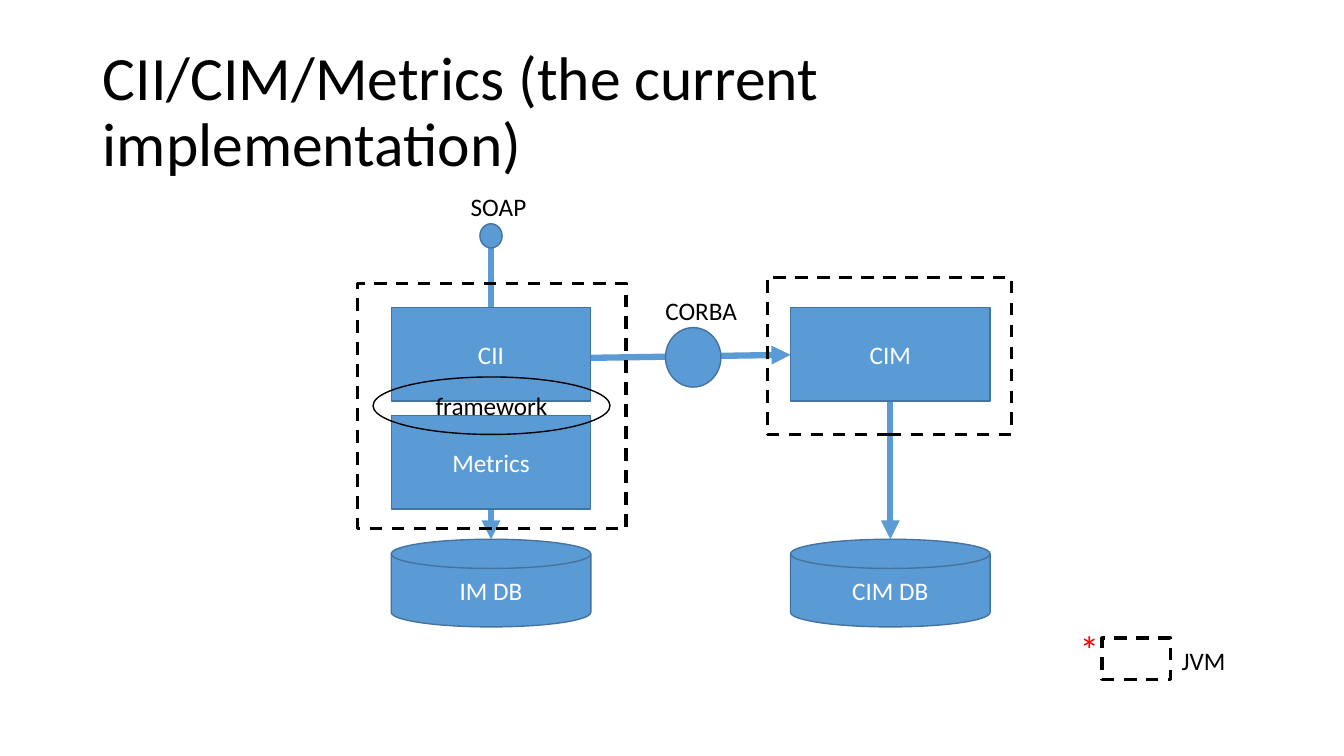
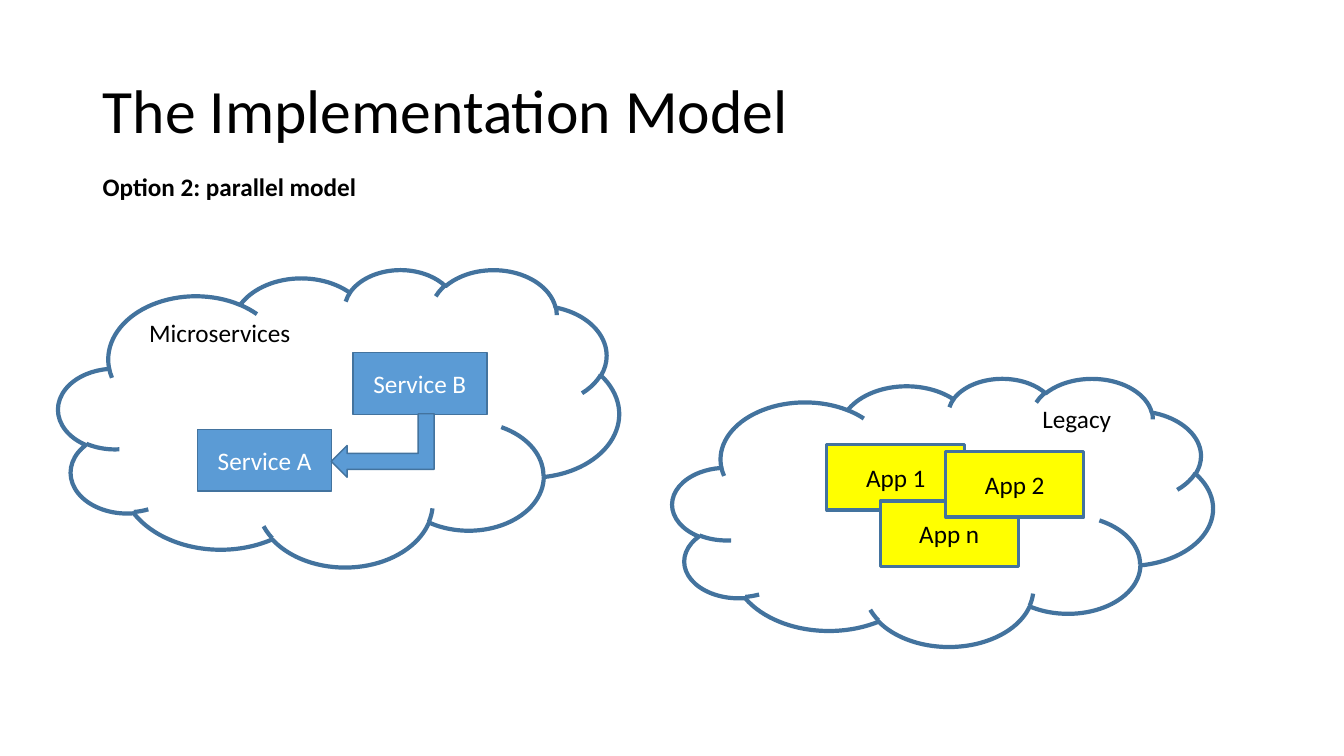
from lxml.etree import SubElement
from pptx import Presentation
from pptx.dml.color import RGBColor
from pptx.enum.dml import MSO_LINE
from pptx.enum.shapes import MSO_CONNECTOR, MSO_SHAPE as SHAPE
from pptx.enum.text import MSO_ANCHOR, MSO_AUTO_SIZE, PP_ALIGN
from pptx.oxml.ns import qn
from pptx.util import Pt

PX = 9144  # EMU, 100 px to the inch
FONT = "Calibri"
COLORS = {"blue": "5B9BD5", "edge": "43739E", "yellow": "FFFF00",
          "black": "000000", "white": "FFFFFF", "red": "FF0000"}

# style: fill, line colour, line width in points, dashed, text colour
STYLES = {
    "node": ("blue", "edge", 1, False, "white"),
    "app": ("yellow", "edge", 2.25, False, "black"),
    "oval": (None, "black", 1, False, "black"),
    "jvm": (None, "black", 2.25, True, "black"),
    "cloud": (None, "edge", 3, False, "black"),
}

# Columns and rows of the component diagram
LEFT, RIGHT, NODE_W, NODE_H = 388, 784, 198, 93
TOP, METRICS_TOP, DB_TOP, DB_H = 305, 412, 535, 87
LEFT_MID, RIGHT_MID = LEFT + NODE_W // 2, RIGHT + NODE_W // 2
# Boxes inside the clouds
SERVICE, APP = (133, 61), (137, 65)

SLIDES = [
    {
        "title": "CII/CIM/Metrics (the current implementation)",
        # from x, from y, to x, to y, arrowhead
        "lines": [
            (LEFT_MID, 245, LEFT_MID, TOP, False),
            (LEFT_MID, METRICS_TOP + NODE_H, LEFT_MID, DB_TOP, True),
            (LEFT + NODE_W, 355, RIGHT, 352, True),
            (RIGHT_MID, TOP + NODE_H, RIGHT_MID, DB_TOP, True),
        ],
        # preset, style, left, top, width, height, text
        "shapes": [
            (SHAPE.RECTANGLE, "node", LEFT, TOP, NODE_W, NODE_H, "CII"),
            (SHAPE.RECTANGLE, "node", LEFT, METRICS_TOP, NODE_W, NODE_H, "Metrics"),
            (SHAPE.RECTANGLE, "node", RIGHT, TOP, NODE_W, NODE_H, "CIM"),
            (SHAPE.FLOWCHART_MAGNETIC_DISK, "node", LEFT, DB_TOP, NODE_W, DB_H, "IM DB"),
            (SHAPE.FLOWCHART_MAGNETIC_DISK, "node", RIGHT, DB_TOP, NODE_W, DB_H, "CIM DB"),
            (SHAPE.OVAL, "node", LEFT_MID - 11, 222, 22, 24, ""),
            (SHAPE.OVAL, "node", 660, 325, 55, 59, ""),
            (SHAPE.OVAL, "oval", 370, 374, 235, 57, "framework"),
            (SHAPE.RECTANGLE, "jvm", 355, 281, 266, 243, ""),
            (SHAPE.RECTANGLE, "jvm", 761, 275, 242, 156, ""),
            (SHAPE.RECTANGLE, "jvm", 1093, 633, 68, 41, ""),
        ],
        # left, top, width, text, size, colour, bold
        "labels": [
            (457, 185, 101, "SOAP", 18, "black", False),
            (650, 288, 101, "CORBA", 18, "black", False),
            (1162, 635, 101, "JVM", 18, "black", False),
            (1061, 615, 101, "*", 28, "red", False),
        ],
    },
    {
        "title": "The Implementation Model",
        "lines": [],
        "shapes": [
            (SHAPE.CLOUD, "cloud", 667, 375, 536, 266, ""),
            (SHAPE.RECTANGLE, "app", 820, 441, *APP, "App 1"),
            (SHAPE.RECTANGLE, "app", 873, 497, *APP, "App n"),
            (SHAPE.RECTANGLE, "app", 938, 448, *APP, "App 2"),
            (SHAPE.CLOUD, "cloud", 58, 267, 556, 295, ""),
            (SHAPE.RECTANGLE, "node", 196, 426, *SERVICE, "Service A"),
            (SHAPE.RECTANGLE, "node", 350, 350, *SERVICE, "Service B"),
            (SHAPE.BENT_UP_ARROW, "node", 348, 391, 63, 102, ""),
        ],
        "labels": [
            (92, 165, 274, "Option 2: parallel model", 18, "black", True),
            (1024, 395, 89, "Legacy", 18, "black", False),
            (138, 310, 162, "Microservices", 18, "black", False),
        ],
    },
]


def px(*lengths):
    return [n * PX for n in lengths]


def rgb(name):
    return RGBColor.from_string(COLORS[name])


def set_text(tf, text, size, color, bold=False):
    tf.text = text
    for r in tf.paragraphs[0].runs:
        r.font.name, r.font.size, r.font.bold = FONT, Pt(size), bold
        r.font.color.rgb = rgb(color)


def add_title(slide, text):
    s = slide.shapes.title
    s.left, s.top, s.width, s.height = px(92, 40, 1150, 145)
    tf = s.text_frame
    set_text(tf, text, 44, "black")
    tf.auto_size = MSO_AUTO_SIZE.NONE
    tf.vertical_anchor = MSO_ANCHOR.MIDDLE
    p = tf.paragraphs[0]
    p.alignment, p.line_spacing = PP_ALIGN.LEFT, 0.9


def add_line(slide, x1, y1, x2, y2, arrow):
    s = slide.shapes.add_connector(MSO_CONNECTOR.STRAIGHT, *px(x1, y1, x2, y2))
    s.line.color.rgb, s.line.width = rgb("blue"), Pt(4.5)
    if arrow:
        SubElement(s.line._get_or_add_ln(), qn("a:tailEnd"), type="triangle")
    SubElement(s._element.spPr, qn("a:effectLst"))


def add_shape(slide, preset, style, left, top, width, height, text):
    fill, line, weight, dashed, color = STYLES[style]
    s = slide.shapes.add_shape(preset, *px(left, top, width, height))
    s.shadow.inherit = False
    if fill:
        s.fill.solid()
        s.fill.fore_color.rgb = rgb(fill)
    else:
        s.fill.background()
    s.line.color.rgb, s.line.width = rgb(line), Pt(weight)
    if dashed:
        s.line.dash_style = MSO_LINE.DASH
    if preset == SHAPE.BENT_UP_ARROW:  # turned to point left
        s.rotation = 90
        s._element.spPr.find(qn("a:xfrm")).set("flipV", "1")
    if text:
        tf = s.text_frame
        set_text(tf, text, 18, color)
        tf.vertical_anchor = MSO_ANCHOR.MIDDLE
        tf.paragraphs[0].alignment = PP_ALIGN.CENTER


def add_label(slide, left, top, width, text, size, color, bold):
    s = slide.shapes.add_textbox(*px(left, top, width, 40))
    set_text(s.text_frame, text, size, color, bold)


def main():
    prs = Presentation()
    prs.slide_width, prs.slide_height = px(1333, 750)
    title_only = prs.slide_layouts[5]
    for content in SLIDES:
        slide = prs.slides.add_slide(title_only)
        add_title(slide, content["title"])
        for key, add in (("lines", add_line), ("shapes", add_shape), ("labels", add_label)):
            for item in content[key]:
                add(slide, *item)
    prs.save("out.pptx")


if __name__ == "__main__":
    main()
